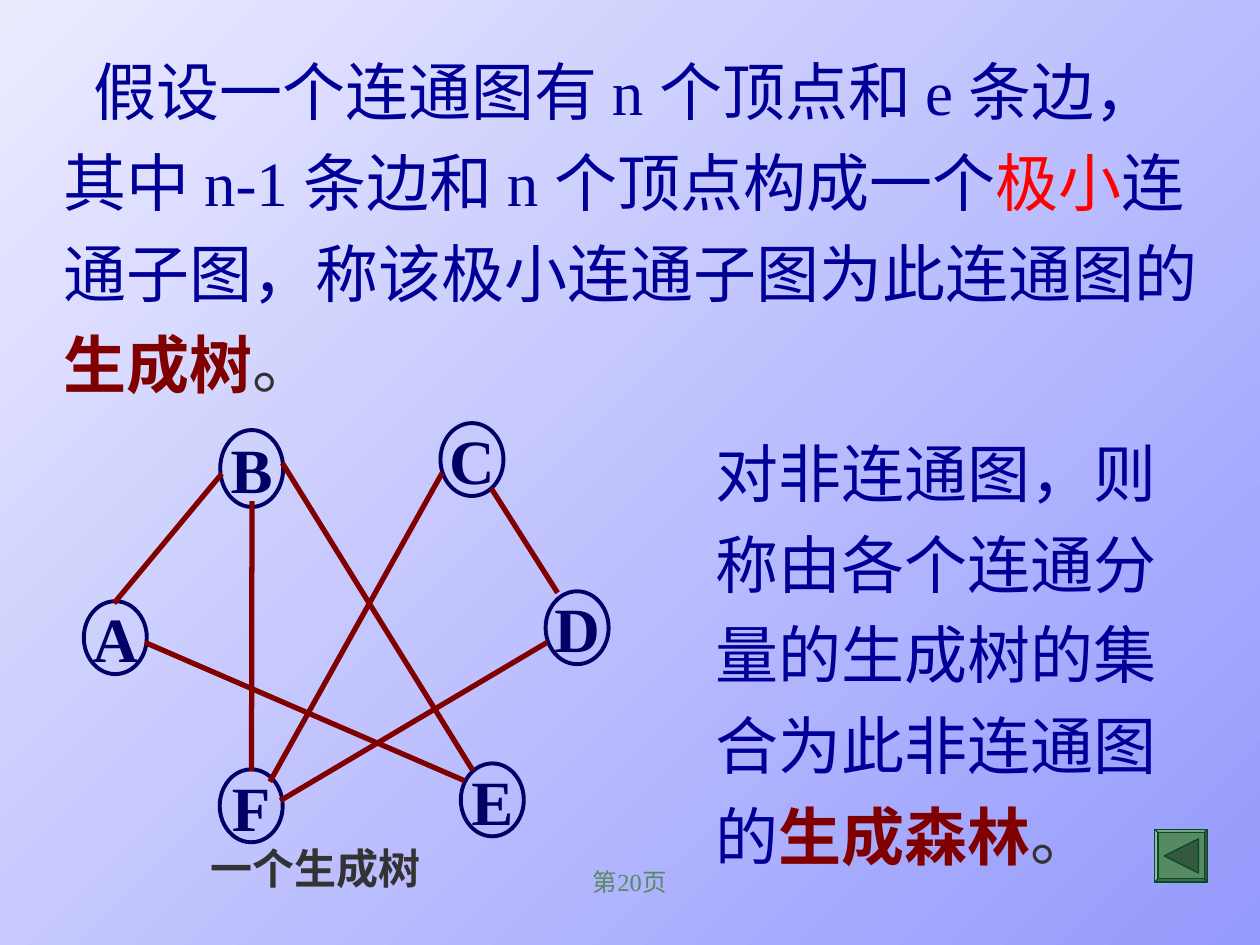
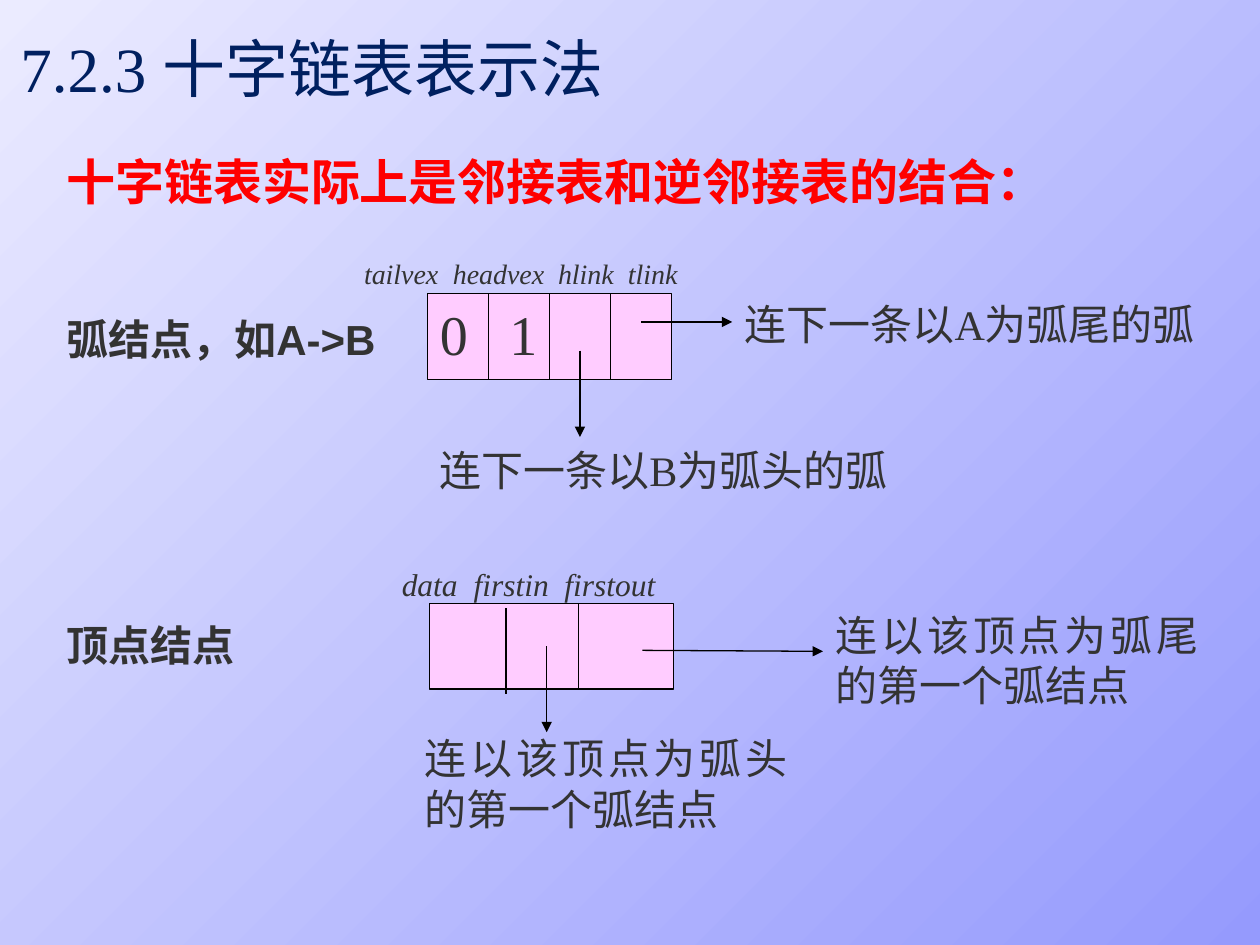
"""Build two graph theory slides: spanning trees and orthogonal lists."""
import pptx
import pptx.dml.color
import pptx.enum.shapes
import pptx.enum.text
import pptx.oxml.ns
import pptx.util
from lxml import etree
from pptx.util import Cm

SERIF, SANS, CJK = "Times New Roman", "Arial", "Noto Sans CJK SC"
BLUE, NAVY, GREY, RED, MAROON = "000099", "000066", "333333", "FF0000", "800000"
GREEN, DARK_GREEN, BLACK, PINK = "578963", "004C2B", "000000", "FFCCFF"
TITLE_COLOR = "002060"
SHAPES = pptx.enum.shapes.MSO_SHAPE
ALIGN = pptx.enum.text.PP_ALIGN
ANCHOR = pptx.enum.text.MSO_ANCHOR


def rgb(color):
    """Turn a hex string into a colour."""
    return pptx.dml.color.RGBColor.from_string(color)


def sub(parent, tag, **attrs):
    """Append a DrawingML child element."""
    return etree.SubElement(parent, pptx.oxml.ns.qn(tag), **attrs)


def add_run(p, text, size=24, color=GREY, bold=False, italic=False, font=SERIF):
    """Add one formatted run to a paragraph."""
    r = p.add_run()
    r.text = text
    r.font.size = pptx.util.Pt(size)
    r.font.bold, r.font.italic = bold, italic
    r.font.color.rgb = rgb(color)
    r.font.name = font
    sub(r._r.get_or_add_rPr(), "a:ea", typeface=CJK)


def write(tf, text, align=ALIGN.LEFT, anchor=ANCHOR.TOP, wrap=True, spacing=None,
          indent=0, tabs=(), **fmt):
    """Fill a frame with a string or a list of (text, overrides) runs."""
    tf.word_wrap, tf.vertical_anchor = wrap, anchor
    p = tf.paragraphs[0]
    p.alignment = align
    if spacing:
        p.line_spacing = spacing
    pPr = p._p.get_or_add_pPr()
    pPr.set("hangingPunct", "0")
    if indent:
        pPr.set("indent", str(Cm(indent)))
    if tabs:
        tab_list = sub(pPr, "a:tabLst")
        for pos in tabs:
            sub(tab_list, "a:tab", pos=str(Cm(pos)), algn="l")
    runs = [(text, {})] if isinstance(text, str) else text
    for part, overrides in runs:
        add_run(p, part, **{**fmt, **overrides})


def add_text(s, x, y, w, h, text, **fmt):
    """Add a text box."""
    box = s.shapes.add_textbox(Cm(x), Cm(y), Cm(w), Cm(h))
    write(box.text_frame, text, **fmt)


def add_shape(s, kind, x, y, w, h, fill=None, line=BLACK, width=0.75):
    """Add a preset shape without shadow."""
    sp = s.shapes.add_shape(kind, Cm(x), Cm(y), Cm(w), Cm(h))
    sp.shadow.inherit = False
    if fill:
        sp.fill.solid()
        sp.fill.fore_color.rgb = rgb(fill)
    else:
        sp.fill.background()
    sp.line.color.rgb = rgb(line)
    sp.line.width = pptx.util.Pt(width)
    return sp


def add_line(s, x1, y1, x2, y2, color=BLACK, width=0.75, arrow=False):
    """Add a straight line, with an arrowhead at its end if asked."""
    cx = s.shapes.add_connector(pptx.enum.shapes.MSO_CONNECTOR.STRAIGHT,
                                Cm(x1), Cm(y1), Cm(x2), Cm(y2))
    cx.line.color.rgb = rgb(color)
    cx.line.width = pptx.util.Pt(width)
    if arrow:
        sub(cx.line._get_or_add_ln(), "a:tailEnd", type="triangle")
    sub(cx._element.spPr, "a:effectLst")


def add_vertex(s, name, x, y, h=1.47):
    """Add a lettered graph vertex."""
    sp = add_shape(s, SHAPES.OVAL, x, y, 1.27, h, line=NAVY, width=2.25)
    write(sp.text_frame, name, align=ALIGN.CENTER, anchor=ANCHOR.MIDDLE, wrap=False,
          size=36, color=NAVY, bold=True)


def add_back_button(s, x, y):
    """Add a bevelled button with a triangle pointing left."""
    button = add_shape(s, SHAPES.BEVEL, x, y, 1.06, 1.06, GREEN, DARK_GREEN)
    button.adjustments[0] = 0.06
    mark = add_shape(s, SHAPES.ISOSCELES_TRIANGLE, x + 0.19, y + 0.19, 0.69, 0.69,
                     "345940", DARK_GREEN)
    mark.rotation = 270


def add_node(s, x, y, dividers):
    """Add a list node cut into fields at the (offset, drop) dividers."""
    w, h = 4.92, 1.73
    sp = add_shape(s, SHAPES.RECTANGLE, x, y, w, h, PINK)
    for offset, drop in dividers:
        add_line(s, x + offset, y + drop, x + offset, y + drop + h)
    return sp


def set_background(prs):
    """Give the master the diagonal gradient."""
    fill = prs.slide_master.background.fill
    fill.gradient()
    fill.gradient_angle = 315
    for stop, color in zip(fill.gradient_stops, ("EBEBFF", "959AFD")):
        stop.color.rgb = rgb(color)


def spanning_tree_slide(prs):
    """Define the spanning tree and the spanning forest."""
    s = prs.slides.add_slide(prs.slide_layouts[6])
    cjk, term, stop = {"font": CJK}, {"color": MAROON, "bold": True}, {"color": GREY}
    body = {"size": 36, "color": BLUE, "spacing": 1.2}
    add_text(s, 8.67, 17.35, 8.05, 1.27, "第20页", align=ALIGN.CENTER, size=14, color=GREEN)
    add_text(s, 1.04, 0.64, 23.7, 7.57, [
        ("假设一个连通图有 ", cjk), ("n ", {}), ("个顶点和 ", cjk), ("e ", {}),
        ("条边，其中 ", cjk), ("n-1 ", {}), ("条边和 ", cjk), ("n ", {}),
        ("个顶点构成一个", cjk), ("极小", {**cjk, "color": RED}),
        ("连通子图，称该极小连通子图为此连通图的", cjk),
        ("生成树", {**cjk, **term}), ("。", {**cjk, **stop})], indent=0.6, **body)
    add_text(s, 14.17, 8.33, 10.59, 9.4, [
        ("对非连通图，则称由各个连通分量的生成树的集合为此非连通图的", {}),
        ("生成森林", term), ("。", stop)], **body)

    vertices = [("A", 1.69, 12.12), ("B", 4.44, 8.67, 1.55), ("C", 8.88, 8.53),
                ("D", 11, 11.92), ("E", 9.29, 15.39), ("F", 4.43, 15.51)]
    for vertex in vertices:
        add_vertex(s, *vertex)
    edges = [(4.47, 9.55, 2.3, 12.16), (5.69, 9.33, 9.53, 15.53),
             (2.92, 12.95, 9.37, 15.74), (8.91, 9.54, 5.44, 15.76),
             (9.9, 9.84, 11.24, 11.95), (11.03, 12.95, 5.65, 16.14),
             (5.08, 10.1, 5.07, 15.55)]
    for edge in edges:
        add_line(s, *edge, color=MAROON, width=3)
    add_back_button(s, 23.28, 16.72)
    add_text(s, 3.99, 16.85, 5.2, 1.27, "一个生成树", bold=True)


def orthogonal_list_slide(prs):
    """Show the arc node and the vertex node of an orthogonal list."""
    s = prs.slides.add_slide(prs.slide_layouts[5])
    title = s.shapes.title
    title.left, title.top, title.width, title.height = Cm(0.41), Cm(0.6), Cm(14), Cm(1.52)
    tf = title.text_frame
    tf.margin_left = tf.margin_top = tf.margin_right = tf.margin_bottom = 0
    write(tf, "7.2.3 十字链表表示法", size=36, color=TITLE_COLOR)

    bold = {"font": SANS, "bold": True}
    add_text(s, 1.09, 2.92, 23.7, 1.5, "十字链表实际上是邻接表和逆邻接表的结合：",
             size=28, color=RED, **bold)
    add_text(s, 1.09, 6.2, 7.3, 1.5, "弧结点，如A->B", **bold)
    add_text(s, 1.09, 12.37, 7.3, 1.5, "顶点结点", **bold)

    arc = add_node(s, 8.62, 5.92, [(1.23 * i, 0) for i in (1, 2, 3)])
    write(arc.text_frame, "0\t1", tabs=[1.4], size=32)
    add_node(s, 8.66, 12.16, [(1.54, 0.1), (3, 0)])
    add_text(s, 7.09, 5.05, 7.85, 0.94, "tailvex\theadvex\thlink\ttlink",
             tabs=[1.79, 3.91, 5.32], size=16, italic=True)
    add_text(s, 7.85, 11.27, 6.45, 1.02, "data\tfirstin\tfirstout",
             tabs=[1.45, 3.28], size=18, italic=True)

    arrows = [(11.69, 7.07, 11.69, 8.81), (12.93, 6.49, 14.76, 6.49),
              (11.02, 13.03, 11.02, 14.76), (12.95, 13.11, 16.59, 13.13)]
    for arrow in arrows:
        add_line(s, *arrow, arrow=True)
    targets = [(8.61, 8.84, 10.46, "连下一条以B为弧头的弧"),
               (14.76, 5.9, 9.86, "连下一条以A为弧尾的弧"),
               (8.31, 14.65, 7.82, "连以该顶点为弧头的第一个弧结点"),
               (16.59, 12.16, 7.82, "连以该顶点为弧尾的第一个弧结点")]
    for x, y, w, text in targets:
        add_text(s, x, y, w, 1.73, text, align=ALIGN.JUSTIFY)


def main():
    """Build and save the slides."""
    prs = pptx.Presentation()
    prs.slide_width, prs.slide_height = Cm(25.4), Cm(19.05)
    set_background(prs)
    spanning_tree_slide(prs)
    orthogonal_list_slide(prs)
    prs.save("out.pptx")


if __name__ == "__main__":
    main()
